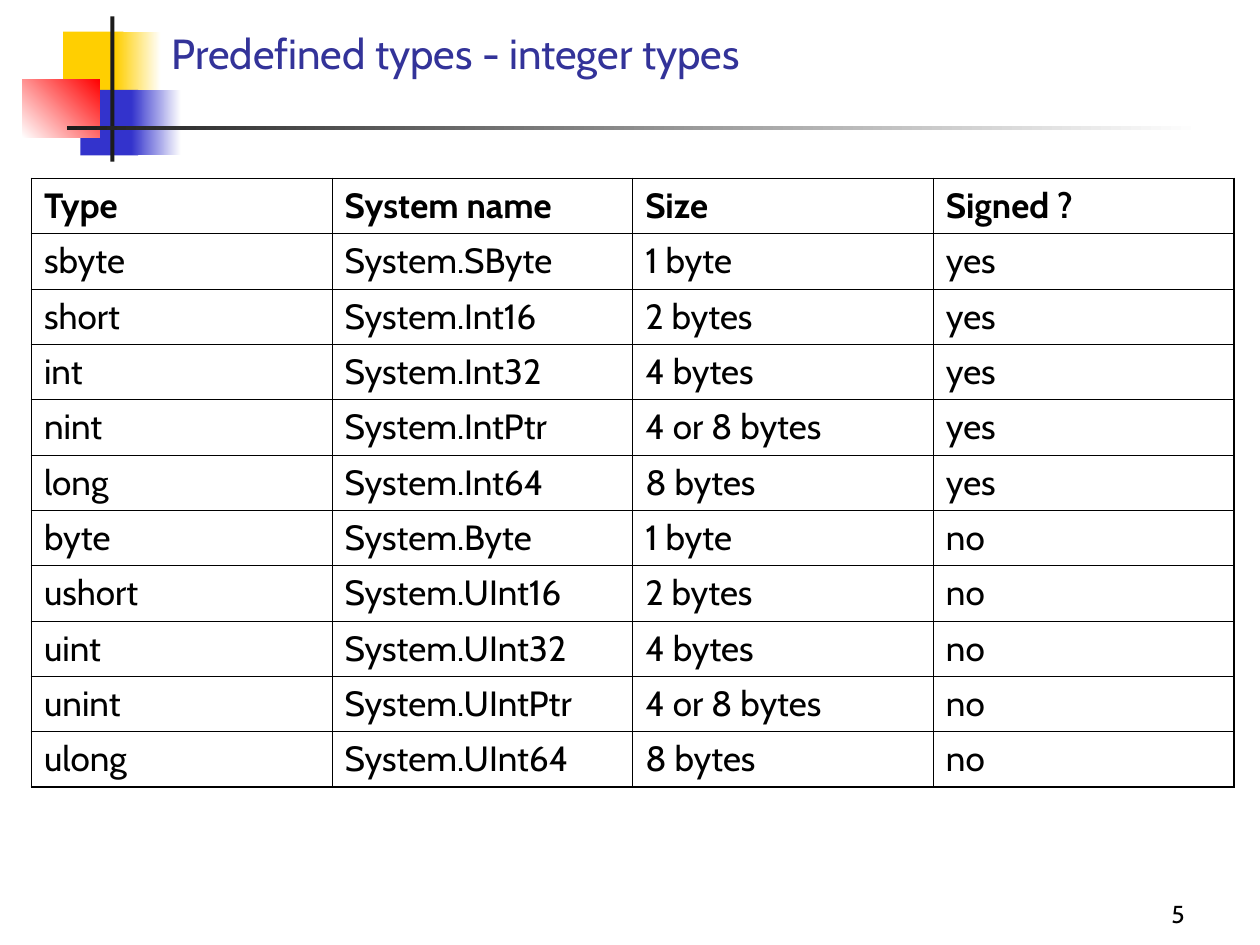
from lxml import etree
from pptx import Presentation
from pptx.dml.color import RGBColor
from pptx.enum import shapes, text
from pptx.oxml import ns
from pptx.util import Pt

COLORS = {
    "yellow": "FFCF01", "blue": "3333CC", "red": "FF0000", "white": "FFFFFF",
    "bar": "1C1C1C", "title": "333399", "black": "000000",
}
THIN, THICK = 0.45, 1.08

HEADER = ["Type", "System name", "Size", "Signed ?"]
INTEGER_TYPES = [
    ("sbyte", "SByte", "1 byte", "yes"),
    ("short", "Int16", "2 bytes", "yes"),
    ("int", "Int32", "4 bytes", "yes"),
    ("nint", "IntPtr", "4 or 8 bytes", "yes"),
    ("long", "Int64", "8 bytes", "yes"),
    ("byte", "Byte", "1 byte", "no"),
    ("ushort", "UInt16", "2 bytes", "no"),
    ("uint", "UInt32", "4 bytes", "no"),
    ("unint", "UIntPtr", "4 or 8 bytes", "no"),
    ("ulong", "UInt64", "8 bytes", "no"),
]


class SlideBuilder:
    font = "Cabin"

    def __init__(self, slide):
        self.slide = slide

    def style(self, paragraph, size, color, bold=False):
        font = paragraph.font
        font.name, font.size, font.bold = self.font, Pt(size), bold
        font.color.rgb = RGBColor.from_string(COLORS[color])

    def block(self, box, color, fade_to=None, angle=180):
        """Draw a rectangle; with fade_to, a gradient runs from fade_to to color."""
        block = self.slide.shapes.add_shape(
            shapes.MSO_SHAPE.RECTANGLE, *map(Pt, box))
        block.shadow.inherit = False
        block.line.fill.background()
        if fade_to is None:
            block.fill.solid()
            block.fill.fore_color.rgb = RGBColor.from_string(COLORS[color])
            return
        block.fill.gradient()
        block.fill.gradient_angle = angle
        for stop, name in zip(block.fill.gradient_stops, (fade_to, color)):
            stop.color.rgb = RGBColor.from_string(COLORS[name])

    def label(self, box, wording, size, color, align=text.PP_ALIGN.LEFT):
        frame = self.slide.shapes.add_textbox(*map(Pt, box)).text_frame
        frame.word_wrap = True
        frame.vertical_anchor = text.MSO_ANCHOR.BOTTOM
        paragraph = frame.paragraphs[0]
        paragraph.text = wording
        paragraph.alignment = align
        self.style(paragraph, size, color)

    def border(self, cell, side, width):
        line = etree.SubElement(cell._tc.get_or_add_tcPr(),
                                ns.qn(f"a:ln{side}"), w=str(Pt(width)))
        fill = etree.SubElement(line, ns.qn("a:solidFill"))
        etree.SubElement(fill, ns.qn("a:srgbClr"), val=COLORS["black"])

    def table(self, left, top, column_width, row_height, rows, size):
        """Draw a grid with a bold header and a thicker outer frame."""
        row_count, column_count = len(rows), len(rows[0])
        table = self.slide.shapes.add_table(
            row_count, column_count, Pt(left), Pt(top),
            Pt(column_width * column_count), Pt(row_height * row_count)).table
        table.first_row = table.horz_banding = False
        for row in table.rows:
            row.height = Pt(row_height)
        for r, row in enumerate(rows):
            for c, wording in enumerate(row):
                cell = table.cell(r, c)
                outer = {"L": c == 0, "R": c == column_count - 1,
                         "T": r == 0, "B": r == row_count - 1}
                for side, is_outer in outer.items():
                    self.border(cell, side, THICK if is_outer else THIN)
                cell.fill.background()
                cell.text = wording
                self.style(cell.text_frame.paragraphs[0], size, "black", r == 0)


def main():
    deck = Presentation()
    deck.slide_width, deck.slide_height = Pt(720), Pt(540)
    page = SlideBuilder(deck.slides.add_slide(deck.slide_layouts[6]))

    page.block((36, 18, 34.5, 37.5), "yellow")
    page.block((66, 18, 26, 37.5), "yellow", fade_to="white")
    page.block((46, 51.3, 33, 37.5), "blue")
    page.block((75, 51.3, 28.5, 37.5), "blue", fade_to="white")
    page.block((12.6, 45.2, 44.5, 33.5), "white", fade_to="red", angle=225)
    page.block((63, 9.4, 2.4, 83), "bar")
    page.block((38.2, 72, 648, 2.3), "bar", fade_to="white")

    page.label((91, 13, 613.5, 35.3), "Predefined types - integer types",
               24, "title")
    rows = [HEADER] + [(keyword, f"System.{name}", size, signed)
                       for keyword, name, size, signed in INTEGER_TYPES]
    page.table(18, 102, 171.8, 31.63, rows, 20)
    page.label((606, 510, 78, 24), "5", 14, "black", text.PP_ALIGN.RIGHT)

    deck.save("out.pptx")


if __name__ == "__main__":
    main()
